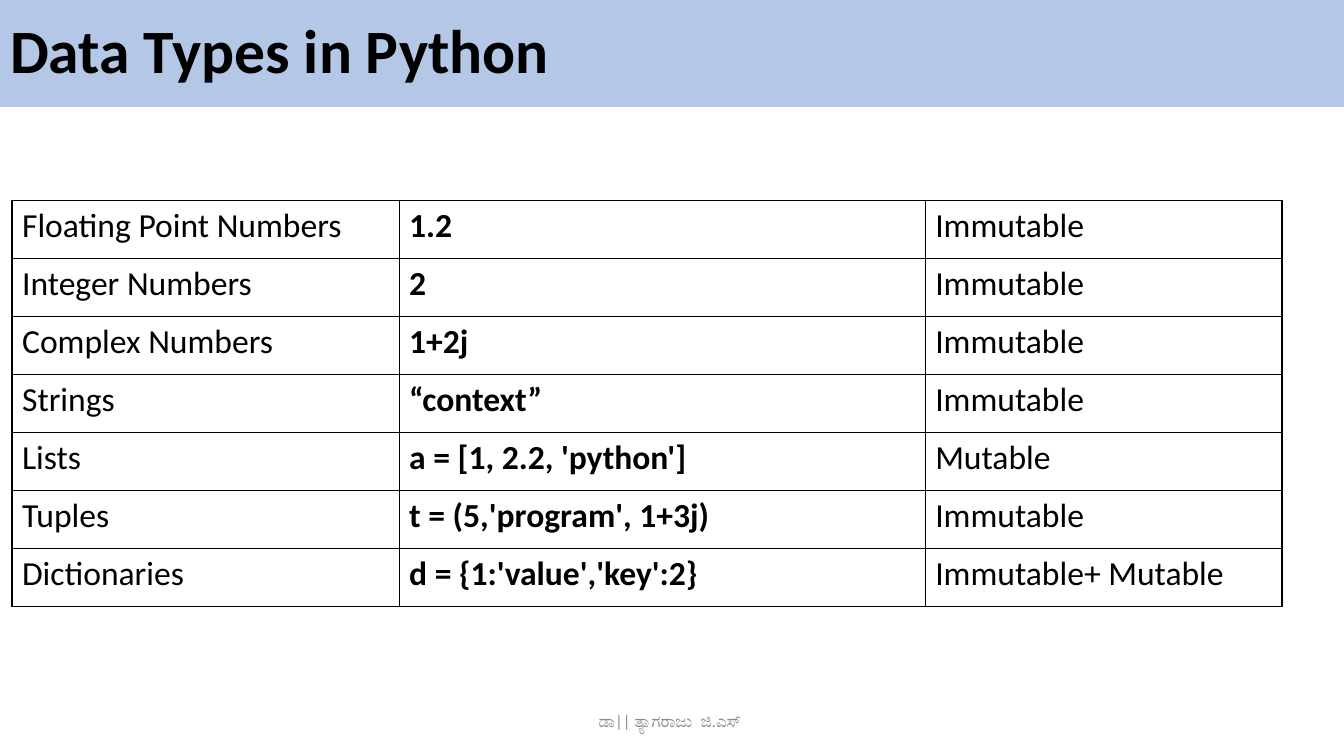
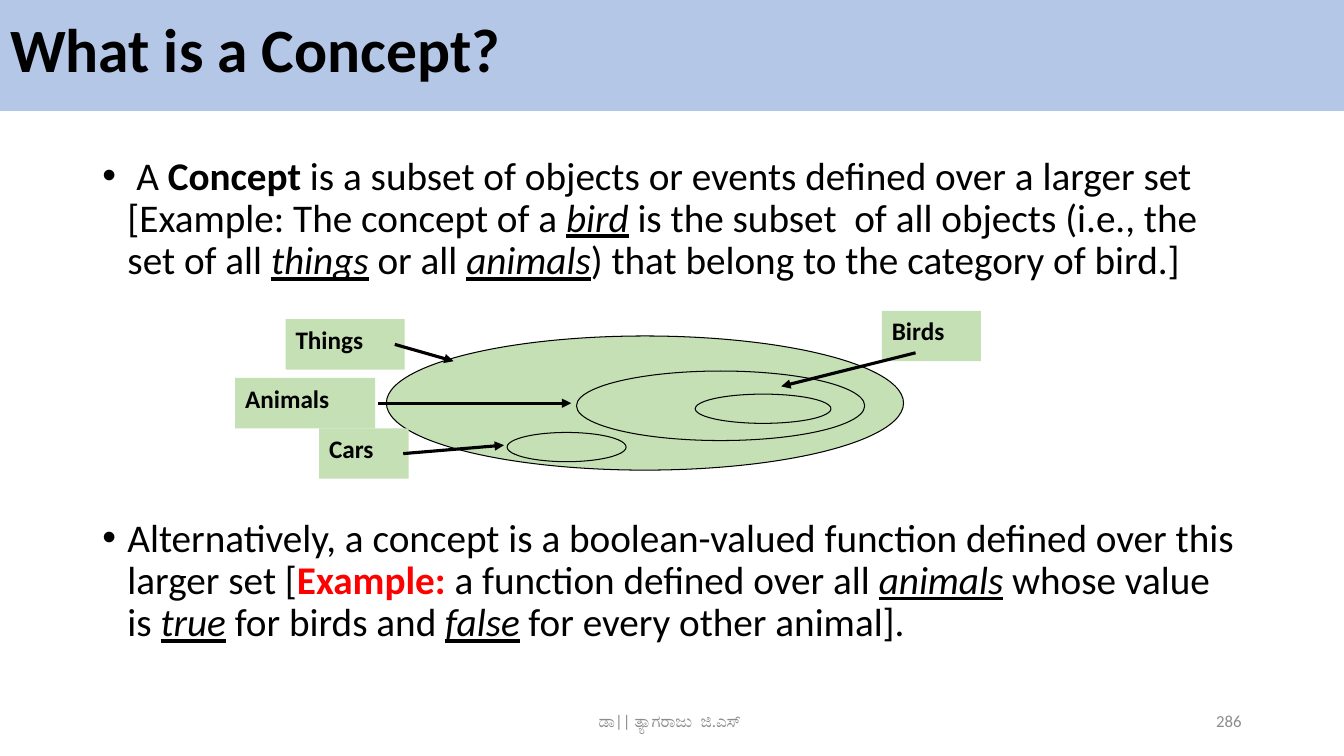
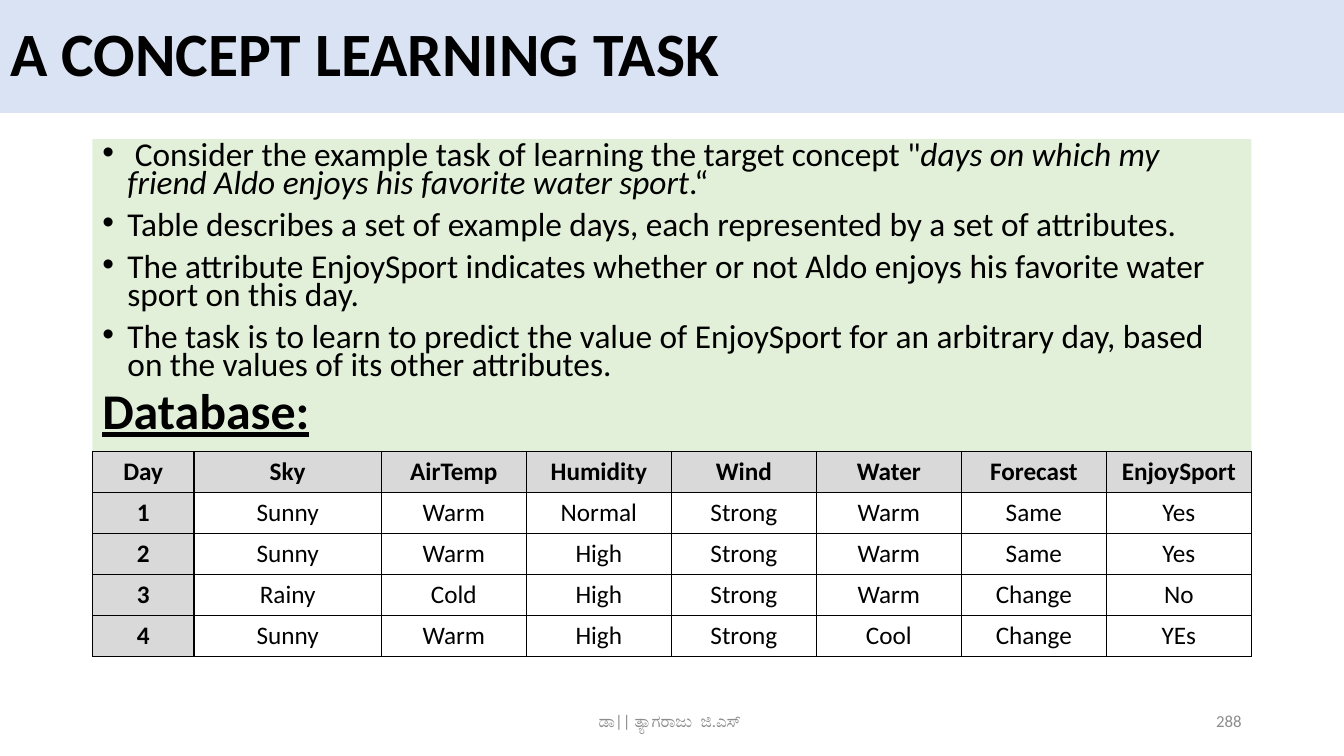
from pptx import Presentation
from pptx.dml.color import RGBColor
from pptx.enum import shapes, text
from pptx.oxml import ns, xmlchemy
from pptx.util import Pt

# Shared look
FONT = "Calibri"
BLACK, GREY, RED = "000000", "8C8C8C", "FF0000"
BLUE, PALE_BLUE = "B4C7E7", "DAE3F3"
GREEN, PALE_GREEN, HEADER_GREY = "C5E0B4", "E2F0D9", "D9D9D9"
WIDTH, HEIGHT = 960, 540
MARGIN, BODY_WIDTH = 66, 828
FOOTER = "ಡಾ|| ತ್ಯಾಗರಾಜು  ಜಿ.ಎಸ್ "
ALIGN = text.PP_ALIGN
ANCHOR = text.MSO_ANCHOR


def rgb(value):
    return RGBColor.from_string(value)


def fill(target, color):
    target.fill.solid()
    target.fill.fore_color.rgb = rgb(color)


def sub(parent, tag, **attrs):
    child = xmlchemy.OxmlElement(tag)
    for name, value in attrs.items():
        child.set(name, str(value))
    parent.append(child)
    return child


# Text
def add_run(p, words, size, style="", color=BLACK):
    """Style letters: b bold, i italic, u underline."""
    r = p.add_run()
    r.text = words
    f = r.font
    f.name, f.size, f.color.rgb = FONT, Pt(size), rgb(color)
    f.bold, f.italic, f.underline = "b" in style, "i" in style, "u" in style


def bullet(p):
    pPr = p._p.get_or_add_pPr()
    pPr.set("marL", str(Pt(18)))
    pPr.set("indent", str(Pt(-18)))
    sub(pPr, "a:buFont", typeface="Arial")
    sub(pPr, "a:buChar", char="•")


def text_box(s, x, y, w, h, anchor=ANCHOR.TOP):
    box = s.shapes.add_textbox(Pt(x), Pt(y), Pt(w), Pt(h))
    box.text_frame.word_wrap = True
    box.text_frame.vertical_anchor = anchor
    return box


def add_body(s, y, h, paragraphs, size, line_spacing, gap):
    """Each paragraph is a list of runs: (words, style, color)."""
    box = text_box(s, MARGIN, y, BODY_WIDTH, h)
    tf = box.text_frame
    for i, runs in enumerate(paragraphs):
        p = tf.add_paragraph() if i else tf.paragraphs[0]
        bullet(p)
        p.line_spacing = line_spacing
        p.space_before = Pt(gap if i else 0)
        for run in runs:
            add_run(p, run[0], size, *run[1:])
    return box


def small_text(s, x, w, words, align):
    p = text_box(s, x, 500.4, w, 28.8, ANCHOR.MIDDLE).text_frame.paragraphs[0]
    p.alignment = align
    add_run(p, words, 12, color=GREY)


def new_slide(prs, title, color, height, top=0, number=None):
    s = prs.slides.add_slide(prs.slide_layouts[5])
    band = s.shapes.title
    band.left, band.top, band.width, band.height = Pt(0), Pt(top), Pt(WIDTH), Pt(height)
    fill(band, color)
    tf = band.text_frame
    tf.auto_size = text.MSO_AUTO_SIZE.NONE
    tf.vertical_anchor = ANCHOR.MIDDLE
    p = tf.paragraphs[0]
    p.alignment, p.line_spacing = ALIGN.LEFT, 0.9
    add_run(p, title, 44, "b")
    small_text(s, 318, 324, FOOTER, ALIGN.CENTER)
    if number:
        small_text(s, 678, 216, number, ALIGN.RIGHT)
    return s


# Tables
def add_borders(cell):
    tcPr = cell._tc.get_or_add_tcPr()
    for side in ("a:lnL", "a:lnR", "a:lnT", "a:lnB"):
        line = sub(tcPr, side, w=Pt(1))
        sub(sub(line, "a:solidFill"), "a:srgbClr", val=BLACK)


def add_table(s, x, y, widths, row_height, rows, size, align, is_bold, is_shaded):
    frame = s.shapes.add_table(len(rows), len(widths), Pt(x), Pt(y),
                               Pt(sum(widths)), Pt(row_height * len(rows)))
    table = frame.table
    table.first_row = table.horz_banding = False
    for column, width in zip(table.columns, widths):
        column.width = Pt(width)
    for i, row in enumerate(rows):
        table.rows[i].height = Pt(row_height)
        for j, words in enumerate(row):
            cell = table.cell(i, j)
            add_borders(cell)
            if is_shaded(i, j):
                fill(cell, HEADER_GREY)
            else:
                cell.fill.background()
            p = cell.text_frame.paragraphs[0]
            p.alignment = align
            add_run(p, words, size, "b" if is_bold(i, j) else "")


# Diagram parts
def add_ellipse(s, x, y, w, h):
    sp = s.shapes.add_shape(shapes.MSO_SHAPE.OVAL, Pt(x), Pt(y), Pt(w), Pt(h))
    sp.shadow.inherit = False
    fill(sp, GREEN)
    sp.line.color.rgb = rgb(BLACK)
    sp.line.width = Pt(0.75)


def add_label(s, x, y, w, words):
    box = text_box(s, x, y, w, 36)
    box.text_frame.word_wrap = False
    fill(box, GREEN)
    add_run(box.text_frame.paragraphs[0], words, 18, "b")


def add_arrow(s, x1, y1, x2, y2):
    arrow = s.shapes.add_connector(shapes.MSO_CONNECTOR.STRAIGHT,
                                   Pt(x1), Pt(y1), Pt(x2), Pt(y2))
    arrow.line.color.rgb = rgb(BLACK)
    arrow.line.width = Pt(2.25)
    sub(arrow.line._get_or_add_ln(), "a:tailEnd", type="triangle")
    sub(arrow._element.find(ns.qn("p:spPr")), "a:effectLst")


# Slides
def data_types(prs):
    s = new_slide(prs, "Data Types in Python", BLUE, 76.3)
    rows = [
        ("Floating Point Numbers", "1.2", "Immutable"),
        ("Integer Numbers", "2", "Immutable"),
        ("Complex Numbers", "1+2j", "Immutable"),
        ("Strings", "“context”", "Immutable"),
        ("Lists", "a = [1, 2.2, 'python']", "Mutable"),
        ("Tuples", "t = (5,'program', 1+3j)", "Immutable"),
        ("Dictionaries", "d = {1:'value','key':2}", "Immutable+ Mutable"),
    ]
    add_table(s, 8.6, 143.3, [276.5, 375.8, 254.9], 41.45, rows, 24, ALIGN.LEFT,
              is_bold=lambda i, j: j == 1, is_shaded=lambda i, j: False)


def concept(prs):
    s = new_slide(prs, "What is a Concept?", BLUE, 82.8, top=-3.6, number="286")
    # The second paragraph starts below the diagram
    add_body(s, 108, 392.4, [
        [(" A ",), ("Concept", "b"),
         (" is a subset of objects or events defined over a larger set "
          "[Example: The concept of a ",),
         ("bird", "iu"), (" is the subset  of all objects (i.e., the set of all ",),
         ("things", "iu"), (" or all ",), ("animals", "iu"),
         (") that belong to the category of bird.]",)],
        [("Alternatively, a concept is a boolean-valued function defined over "
          "this larger set [",),
         ("Example: ", "b", RED), ("a function defined over all ",),
         ("animals", "iu"), (" whose value is ",), ("true", "iu"),
         (" for birds and ",), ("false", "iu"), (" for every other animal].",)],
    ], 28, 0.9, 168)

    for ellipse in [(276, 240, 369.4, 95.8),      # things
                    (411.8, 265, 205.9, 49.7),    # animals
                    (496.6, 281.5, 97, 20.9),     # birds
                    (362.2, 308.9, 85, 20.9)]:    # cars
        add_ellipse(s, *ellipse)
    for label in [(204, 228, 85, "Things"), (168, 270, 100, "Animals"),
                  (630, 222, 70.6, "Birds"), (228, 306, 64, "Cars")]:
        add_label(s, *label)
    for arrow in [(282, 246, 324, 258), (270, 288, 408, 288),
                  (654, 252, 558, 276), (288, 324, 360, 318)]:
        add_arrow(s, *arrow)


def learning_task(prs):
    s = new_slide(prs, "A CONCEPT LEARNING TASK", PALE_BLUE, 80.6, number="288")
    body = add_body(s, 99.4, 223.2, [
        [(" Consider the example task of learning the target concept \"",),
         ("days on which my friend Aldo enjoys his favorite water sport", "i"),
         (".“",)],
        [("Table describes a set of example days, each represented by a set of "
          "attributes.",)],
        [("The attribute EnjoySport indicates whether or not Aldo enjoys his "
          "favorite water sport on this day.",)],
        [("The task is to learn to predict the value of EnjoySport for an "
          "arbitrary day, based on the values of its other attributes.",)],
    ], 23.8, 0.7, 10)
    fill(body, PALE_GREEN)
    p = body.text_frame.add_paragraph()
    p.line_spacing, p.space_before = 0.7, Pt(10)
    add_run(p, "Database:", 35.7, "bu")

    rows = [
        ("Day", "Sky", "AirTemp", "Humidity", "Wind", "Water", "Forecast", "EnjoySport"),
        ("1", "Sunny", "Warm", "Normal", "Strong", "Warm", "Same", "Yes"),
        ("2", "Sunny", "Warm", "High", "Strong", "Warm", "Same", "Yes"),
        ("3", "Rainy", "Cold", "High", "Strong", "Warm", "Change", "No"),
        ("4", "Sunny", "Warm", "High", "Strong", "Cool", "Change", "YEs"),
    ]

    def is_heading(i, j):
        return i == 0 or j == 0

    add_table(s, MARGIN, 322.6, [72.6, 133.8] + [103.6] * 6, 29.25, rows, 18,
              ALIGN.CENTER, is_bold=is_heading, is_shaded=is_heading)


def main():
    prs = Presentation()
    prs.slide_width, prs.slide_height = Pt(WIDTH), Pt(HEIGHT)
    data_types(prs)
    concept(prs)
    learning_task(prs)
    prs.save("out.pptx")


if __name__ == "__main__":
    main()
